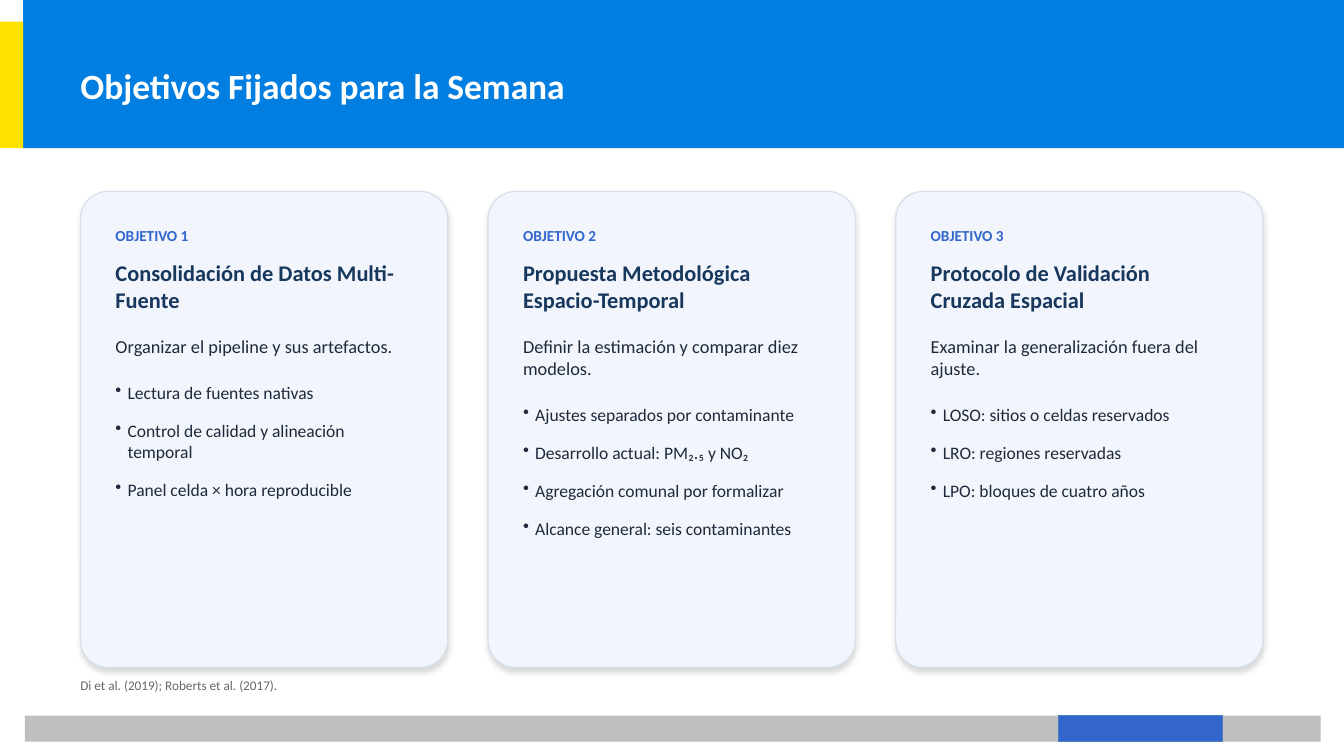
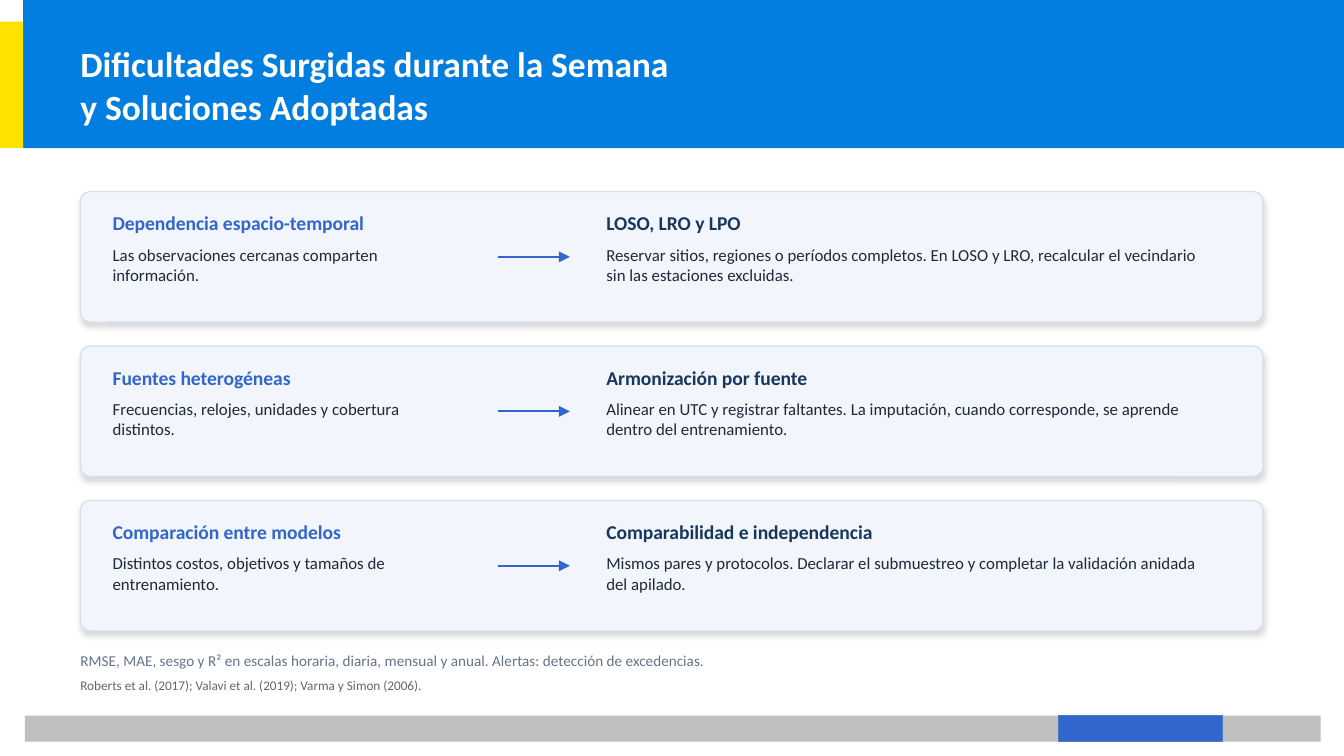
import pptx
import pptx.dml.color
import pptx.enum.dml
import pptx.enum.shapes
import pptx.enum.text
import pptx.oxml
import pptx.oxml.ns
import pptx.util
from lxml import etree

Cm = pptx.util.Cm
Pt = pptx.util.Pt
SHAPES = pptx.enum.shapes.MSO_SHAPE
ANCHOR = pptx.enum.text.MSO_ANCHOR
LEFT_ALIGN = pptx.enum.text.PP_ALIGN.LEFT

FONT = "Calibri"
BAND, YELLOW, GREY, ACCENT, ACCENT_EDGE = "017EDF", "FFE200", "BFBFBF", "3366CC", "4B7EBC"
CARD, CARD_EDGE, NAVY, INK = "F2F6FC", "D6DFEB", "17375D", "1E293B"
WHITE, NOTE, SOURCE = "FFFFFF", "64748B", "666666"

MARGIN, CONTENT_TOP, CONTENT_WIDTH = 1.52, 3.62, 22.35

OBJECTIVES = [
    ("Consolidación de Datos Multi-Fuente", "Organizar el pipeline y sus artefactos.",
     ["Lectura de fuentes nativas", "Control de calidad y alineación temporal",
      "Panel celda × hora reproducible"]),
    ("Propuesta Metodológica Espacio-Temporal", "Definir la estimación y comparar diez modelos.",
     ["Ajustes separados por contaminante", "Desarrollo actual: PM₂.₅ y NO₂",
      "Agregación comunal por formalizar", "Alcance general: seis contaminantes"]),
    ("Protocolo de Validación Cruzada Espacial", "Examinar la generalización fuera del ajuste.",
     ["LOSO: sitios o celdas reservados", "LRO: regiones reservadas",
      "LPO: bloques de cuatro años"]),
]

DIFFICULTIES = [
    (("Dependencia espacio-temporal", "Las observaciones cercanas comparten información."),
     ("LOSO, LRO y LPO",
      "Reservar sitios, regiones o períodos completos. En LOSO y LRO, "
      "recalcular el vecindario sin las estaciones excluidas.")),
    (("Fuentes heterogéneas", "Frecuencias, relojes, unidades y cobertura distintos."),
     ("Armonización por fuente",
      "Alinear en UTC y registrar faltantes. La imputación, cuando corresponde, "
      "se aprende dentro del entrenamiento.")),
    (("Comparación entre modelos", "Distintos costos, objetivos y tamaños de entrenamiento."),
     ("Comparabilidad e independencia",
      "Mismos pares y protocolos. Declarar el submuestreo y completar "
      "la validación anidada del apilado.")),
]


def paint(color_format, color):
    color_format.rgb = pptx.dml.color.RGBColor.from_string(color)


def add_box(slide, kind, left, top, width, height, fill, edge=None, edge_width=0.75):
    shape = slide.shapes.add_shape(kind, Cm(left), Cm(top), Cm(width), Cm(height))
    shape.shadow.inherit = False
    shape.fill.solid()
    paint(shape.fill.fore_color, fill)
    if edge:
        paint(shape.line.color, edge)
        shape.line.width = Pt(edge_width)
    else:
        shape.line.fill.background()
    return shape


def add_card(slide, left, top, width, height):
    card = add_box(slide, SHAPES.ROUNDED_RECTANGLE, left, top, width, height,
                   CARD, CARD_EDGE, 0.68)
    card.adjustments[0] = 0.075
    effects = card.element.spPr.find(pptx.oxml.ns.qn("a:effectLst"))
    effects.append(pptx.oxml.parse_xml(
        f'<a:outerShdw {pptx.oxml.ns.nsdecls("a")} blurRad="{Pt(3)}" dist="{Pt(1.8)}" '
        'dir="5400000" algn="ctr" rotWithShape="0"><a:srgbClr val="000000">'
        '<a:alpha val="14000"/></a:srgbClr></a:outerShdw>'))
    return card


def add_bullet(paragraph):
    properties = paragraph._p.get_or_add_pPr()
    properties.set("marL", str(Cm(0.23)))
    properties.set("indent", str(-Cm(0.23)))
    bullet = etree.SubElement(properties, pptx.oxml.ns.qn("a:buChar"))
    bullet.set("char", "•")


def write(frame, lines, inset=0.0):
    """Each line is text, size, color, bold, space after and bullet flag."""
    frame.word_wrap = True
    frame.auto_size = pptx.enum.text.MSO_AUTO_SIZE.NONE
    frame.margin_left = frame.margin_right = Cm(inset)
    frame.margin_top = frame.margin_bottom = Cm(inset)
    for index, (text, size, color, bold, after, bulleted) in enumerate(lines):
        paragraph = frame.add_paragraph() if index else frame.paragraphs[0]
        paragraph.text = text
        paragraph.alignment = LEFT_ALIGN
        paragraph.space_after = Pt(after)
        if bulleted:
            add_bullet(paragraph)
        paragraph.font.name = FONT
        paragraph.font.size = Pt(size)
        paragraph.font.bold = bold
        paint(paragraph.font.color, color)


def add_text(slide, left, top, width, height, lines):
    box = slide.shapes.add_textbox(Cm(left), Cm(top), Cm(width), Cm(height))
    write(box.text_frame, lines)


def add_arrow(slide, left, right, y):
    arrow = slide.shapes.add_connector(
        pptx.enum.shapes.MSO_CONNECTOR.STRAIGHT, Cm(left), Cm(y), Cm(right), Cm(y))
    paint(arrow.line.color, ACCENT)
    arrow.line.width = Pt(1.2)
    head = etree.SubElement(arrow.line._get_or_add_ln(), pptx.oxml.ns.qn("a:tailEnd"))
    head.set("type", "triangle")
    etree.SubElement(arrow.element.spPr, pptx.oxml.ns.qn("a:effectLst"))


def add_base_slide(presentation, title_lines, source):
    slide = presentation.slides.add_slide(presentation.slide_layouts[5])
    add_box(slide, SHAPES.RECTANGLE, 0.44, 0, 24.96, 2.8, BAND)
    add_box(slide, SHAPES.RECTANGLE, 0, 0.41, 0.44, 2.39, YELLOW)
    add_box(slide, SHAPES.RECTANGLE, 0.47, 13.53, 24.49, 0.49, GREY)
    add_box(slide, SHAPES.RECTANGLE, 20.01, 13.53, 3.1, 0.49, ACCENT, ACCENT_EDGE)

    title = slide.shapes.title
    title.element.getparent().append(title.element)
    title.left, title.top, title.width, title.height = Cm(1.27), Cm(0.41), Cm(22.86), Cm(2.39)
    write(title.text_frame, [(line, 19, WHITE, True, 0, False) for line in title_lines], 0.25)
    title.text_frame.vertical_anchor = ANCHOR.MIDDLE

    add_text(slide, MARGIN, 12.8, 22.48, 0.64, [(source, 7.1, SOURCE, False, 0, False)])
    return slide


def add_objective(slide, left, top, width, height, number, heading, summary, points):
    card = add_card(slide, left, top, width, height)
    lines = [(f"OBJETIVO {number}", 8.2, ACCENT, True, 7.5, False),
             (heading, 12, NAVY, True, 12, False),
             (summary, 9.8, INK, False, 13.5, False)]
    lines += [(point, 9.4, INK, False, 9, True) for point in points]
    write(card.text_frame, lines, 0.51)
    card.text_frame.vertical_anchor = ANCHOR.TOP


def add_difficulty(slide, left, top, width, height, problem, solution):
    add_card(slide, left, top, width, height)
    columns = [(0.61, 6.6, ACCENT, problem), (9.94, 11.43, NAVY, solution)]
    for offset, text_width, color, (heading, detail) in columns:
        add_text(slide, left + offset, top + 0.37, text_width, 1.73,
                 [(heading, 10.5, color, True, 5.2, False),
                  (detail, 9, INK, False, 0, False)])
    add_arrow(slide, left + 7.9, left + 9.25, top + height / 2)


def build_objectives(presentation):
    slide = add_base_slide(presentation, ["Objetivos Fijados para la Semana"],
                           "Di et al. (2019); Roberts et al. (2017).")
    gap = 0.76
    width = (CONTENT_WIDTH - gap * (len(OBJECTIVES) - 1)) / len(OBJECTIVES)
    for index, objective in enumerate(OBJECTIVES):
        add_objective(slide, MARGIN + index * (width + gap), CONTENT_TOP, width, 9,
                      index + 1, *objective)


def build_difficulties(presentation):
    slide = add_base_slide(
        presentation, ["Dificultades Surgidas durante la Semana", "y Soluciones Adoptadas"],
        "Roberts et al. (2017); Valavi et al. (2019); Varma y Simon (2006).")
    height, gap = 2.47, 0.45
    for index, difficulty in enumerate(DIFFICULTIES):
        add_difficulty(slide, MARGIN, CONTENT_TOP + index * (height + gap),
                       CONTENT_WIDTH, height, *difficulty)
    add_text(slide, MARGIN, 12.32, CONTENT_WIDTH, 0.46,
             [("RMSE, MAE, sesgo y R² en escalas horaria, diaria, mensual y anual. "
               "Alertas: detección de excedencias.", 8.1, NOTE, False, 0, False)])


def main():
    presentation = pptx.Presentation()
    presentation.slide_width = Cm(25.4)
    presentation.slide_height = Cm(14.29)
    build_objectives(presentation)
    build_difficulties(presentation)
    presentation.save("out.pptx")


if __name__ == "__main__":
    main()
